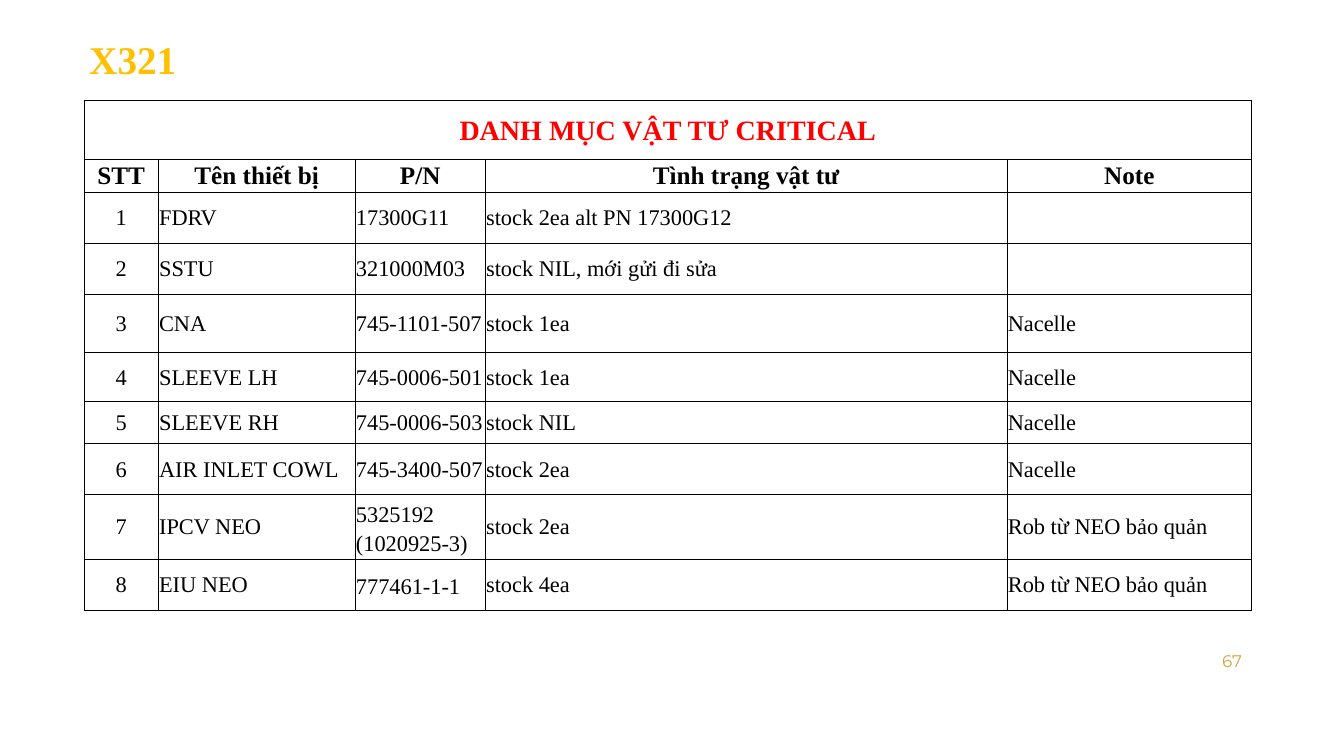
from dataclasses import dataclass

from lxml import etree
from pptx import Presentation
from pptx.dml.color import RGBColor
from pptx.enum.text import MSO_ANCHOR, PP_ALIGN
from pptx.oxml.ns import qn
from pptx.util import Cm, Pt

LEFT, CENTER, RIGHT = PP_ALIGN.LEFT, PP_ALIGN.CENTER, PP_ALIGN.RIGHT
MIDDLE = MSO_ANCHOR.MIDDLE


@dataclass(frozen=True)
class Theme:
    serif: str = "Times New Roman"
    sans: str = "Montserrat"
    amber: str = "FFC000"
    gold: str = "D2A43B"
    red: str = "FF0000"
    black: str = "000000"
    title: int = 28
    banner: int = 20
    head: int = 18
    body: int = 16
    small: int = 12
    line: float = 0.75


class Deck:
    def __init__(self, theme, slide):
        self.theme = theme
        self.slide = slide

    def text(self, frame, words, size, color, bold=False, align=LEFT, font=None, pitch=None):
        para = frame.paragraphs[0]
        para.alignment = align
        if pitch:
            para.line_spacing = pitch
        run = para.add_run()
        run.text = words
        run.font.name = font or self.theme.serif
        run.font.size = Pt(size)
        run.font.bold = bold
        run.font.color.rgb = RGBColor.from_string(color)

    def label(self, box, words, size, color, **style):
        frame = self.slide.shapes.add_textbox(*map(Cm, box)).text_frame
        frame.word_wrap = True
        frame.vertical_anchor = MIDDLE
        self.text(frame, words, size, color, **style)

    def grid(self, left, top, widths, heights):
        shape = self.slide.shapes.add_table(
            len(heights), len(widths), Cm(left), Cm(top), Cm(sum(widths)), Cm(sum(heights)))
        table = shape.table
        table.first_row = False
        table.horz_banding = False
        for col, width in zip(table.columns, widths):
            col.width = Cm(width)
        for row, height in zip(table.rows, heights):
            row.height = Cm(height)
        for cell in table.iter_cells():
            cell.fill.background()
            cell.vertical_anchor = MIDDLE
            cell.margin_left = cell.margin_right = cell.margin_top = Cm(0.02)
            cell.margin_bottom = 0
            self.border(cell)
        return table

    def border(self, cell):
        props = cell._tc.get_or_add_tcPr()
        for spot, side in enumerate(("a:lnL", "a:lnR", "a:lnT", "a:lnB")):
            line = etree.Element(qn(side), w=str(Pt(self.theme.line)))
            fill = etree.SubElement(line, qn("a:solidFill"))
            etree.SubElement(fill, qn("a:srgbClr"), val=self.theme.black)
            props.insert(spot, line)

    def fill(self, table, banner, heads, rows, loose):
        theme = self.theme
        table.cell(0, 0).merge(table.cell(0, len(heads) - 1))
        self.text(table.cell(0, 0).text_frame, banner, theme.banner, theme.red,
                  bold=True, align=CENTER)
        for col, head in enumerate(heads):
            self.text(table.cell(1, col).text_frame, head, theme.head, theme.black,
                      bold=True, align=CENTER)
        for num, row in enumerate(rows, 1):
            for col, words in enumerate((str(num), *row)):
                if words:
                    self.text(table.cell(num + 1, col).text_frame, words,
                              theme.body, theme.black,
                              align=LEFT if col else CENTER,
                              pitch=1.15 if (num, col) in loose else None)


HEADS = ("STT", "Tên thiết bị", "P/N", "Tình trạng vật tư", "Note")
PARTS = (
    ("FDRV", "17300G11", "stock 2ea alt PN 17300G12", ""),
    ("SSTU", "321000M03", "stock NIL, mới gửi đi sửa", ""),
    ("CNA", "745-1101-507", "stock 1ea", "Nacelle"),
    ("SLEEVE LH", "745-0006-501", "stock 1ea", "Nacelle"),
    ("SLEEVE RH", "745-0006-503", "stock NIL", "Nacelle"),
    ("AIR INLET COWL", "745-3400-507", "stock 2ea", "Nacelle"),
    ("IPCV NEO", "5325192 (1020925-3)", "stock 2ea", "Rob từ NEO bảo quản"),
    ("EIU NEO", "777461-1-1", "stock 4ea", "Rob từ NEO bảo quản"),
)
WIDTHS = (1.87, 4.96, 3.28, 13.15, 6.16)
HEIGHTS = (1.48, 0.82, 1.29, 1.29, 1.47, 1.23, 1.06, 1.28, 1.64, 1.28)


def main():
    show = Presentation()
    show.slide_width, show.slide_height = Cm(33.87), Cm(19.05)
    theme = Theme()
    deck = Deck(theme, show.slides.add_slide(show.slide_layouts[6]))
    deck.label((2, 0.56, 29.62, 1.98), "X321", theme.title, theme.amber,
               bold=True, pitch=0.9)
    deck.label((23.93, 16.13, 7.62, 1.02), "67", theme.small, theme.gold,
               align=RIGHT, font=theme.sans)
    table = deck.grid(2.12, 2.54, WIDTHS, HEIGHTS)
    deck.fill(table, "DANH MỤC VẬT TƯ CRITICAL", HEADS, PARTS, {(7, 2), (8, 2)})
    show.save("out.pptx")


if __name__ == "__main__":
    main()
